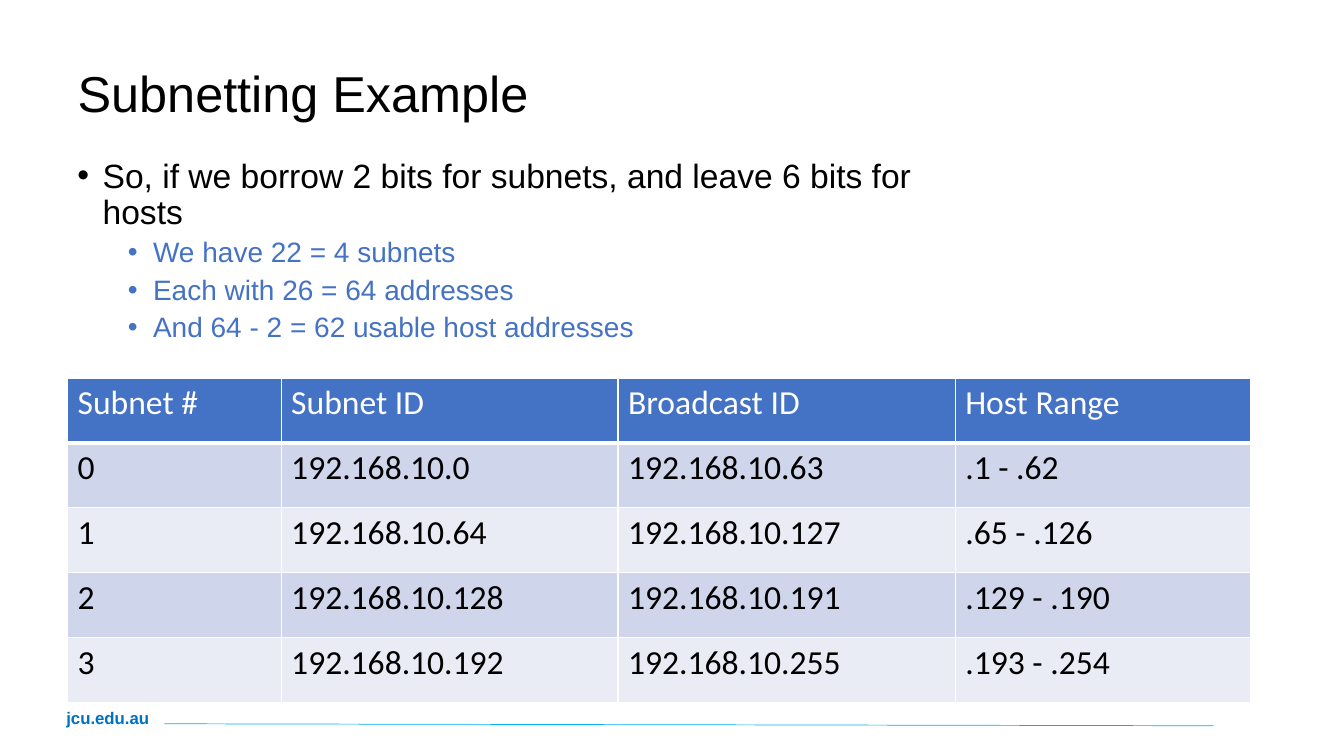
from lxml.etree import SubElement as Sub
from pptx import Presentation
from pptx.dml.color import RGBColor as Rgb
from pptx.enum.text import MSO_ANCHOR as Anchor, MSO_AUTO_SIZE as Size, PP_ALIGN as Align
from pptx.oxml.ns import qn
from pptx.util import Pt

# Content
TITLE = "Subnetting Example"
BULLETS = [
    (0, "So, if we borrow 2 bits for subnets, and leave 6 bits for hosts"),
    (1, "We have 22 = 4 subnets"),
    (1, "Each with 26 = 64 addresses"),
    (1, "And 64 - 2 = 62 usable host addresses"),
]
ROWS = [
    ("Subnet #", "Subnet ID", "Broadcast ID", "Host Range"),
    ("0", "192.168.10.0", "192.168.10.63", ".1 - .62"),
    ("1", "192.168.10.64", "192.168.10.127", ".65 - .126"),
    ("2", "192.168.10.128", "192.168.10.191", ".129 - .190"),
    ("3", "192.168.10.192", "192.168.10.255", ".193 - .254"),
]
SITE = "jcu.edu.au"

# Style
COLOR = {
    "text": "000000", "white": "FFFFFF", "blue": "4472C4", "odd": "CFD5EA",
    "even": "E9EBF5", "site": "0070C0", "rule": "00B0F0",
}
LEVELS = [  # size, colour, left margin, space before
    (24, "text", 18, 10),
    (20, "blue", 54, 5),
]
LEFT, WIDTH = 48.24, 845.3
COLS = (152.6, 240.6, 240.9, 211.2)
ROW = 46.4


def rgb(name):
    return Rgb.from_string(COLOR[name])


def style(para, size, color, face="Arial", bold=False):
    font = para.font
    font.size, font.name, font.bold = Pt(size), face, bold
    font.color.rgb = rgb(color)


def border(cell, head):
    props = cell._tc.get_or_add_tcPr()
    for side in "LRTB":
        width = 3 if head and side == "B" else 1
        line = Sub(props, qn(f"a:ln{side}"), w=str(Pt(width)))
        fill = Sub(line, qn("a:solidFill"))
        Sub(fill, qn("a:srgbClr"), val=COLOR["white"])


deck = Presentation()
deck.slide_width, deck.slide_height = Pt(960), Pt(540)
slide = deck.slides.add_slide(deck.slide_layouts[5])
shapes = slide.shapes

# Footer
box = shapes.add_textbox(Pt(40.3), Pt(501.8), Pt(88.6), Pt(21.6))
box.text_frame.text = SITE
style(box.text_frame.paragraphs[0], 12, "site", bold=True)
rule = shapes.add_connector(1, Pt(117.4), Pt(517), Pt(866.9), Pt(518.4))
rule.line.color.rgb, rule.line.width = rgb("rule"), Pt(0.5)
Sub(rule._element.spPr, qn("a:effectLst"))

# Title
title = shapes.title
title.left, title.top, title.width, title.height = Pt(LEFT), Pt(46), Pt(WIDTH), Pt(87)
frame = title.text_frame
frame.text = TITLE
frame.auto_size, frame.vertical_anchor = Size.NONE, Anchor.TOP
para = frame.paragraphs[0]
para.alignment, para.line_spacing = Align.LEFT, 0.9
style(para, 36, "text")

# Subnet table
table = shapes.add_table(len(ROWS), len(COLS), Pt(LEFT), Pt(270),
                         Pt(WIDTH), Pt(ROW * len(ROWS))).table
for col, width in zip(table.columns, COLS):
    col.width = Pt(width)
for r, row in enumerate(ROWS):
    table.rows[r].height = Pt(ROW)
    back = "blue" if r == 0 else "odd" if r % 2 else "even"
    for c, text in enumerate(row):
        cell = table.cell(r, c)
        cell.text = text
        border(cell, r == 0)
        cell.fill.solid()
        cell.fill.fore_color.rgb = rgb(back)
        style(cell.text_frame.paragraphs[0], 24, "text" if r else "white", "Calibri")

# Bullets
frame = shapes.add_textbox(Pt(LEFT), Pt(110.2), Pt(648), Pt(202.3)).text_frame
frame.word_wrap = True
for i, (level, text) in enumerate(BULLETS):
    para = frame.add_paragraph() if i else frame.paragraphs[0]
    size, color, margin, gap = LEVELS[level]
    para.text, para.level, para.line_spacing = text, level, 0.9
    para.space_before = Pt(gap if i else 0)
    props = para._p.get_or_add_pPr()
    props.set("marL", str(Pt(margin)))
    props.set("indent", str(Pt(-18)))
    Sub(props, qn("a:buFont"), typeface="Arial")
    Sub(props, qn("a:buChar"), char="•")
    style(para, size, color)

deck.save("out.pptx")
